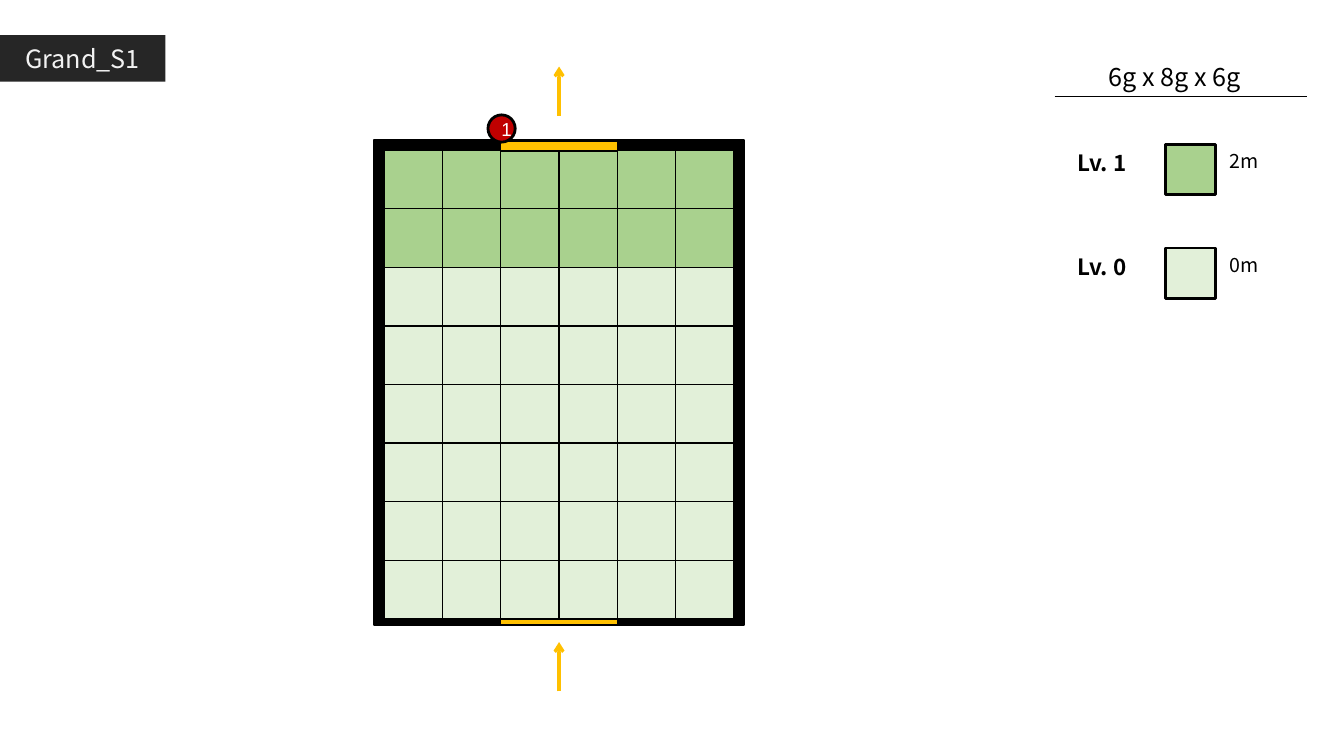
from lxml.etree import SubElement
from pptx import Presentation
from pptx.dml.color import RGBColor
from pptx.enum.shapes import MSO_CONNECTOR as Connector, MSO_SHAPE as Shape
from pptx.enum.text import MSO_ANCHOR as Anchor, PP_ALIGN as Align
from pptx.oxml.ns import qn
from pptx.util import Inches, Pt

BLACK = RGBColor(0x00, 0x00, 0x00)
WHITE = RGBColor(0xFF, 0xFF, 0xFF)
CHARCOAL = RGBColor(0x26, 0x26, 0x26)
OFF_WHITE = RGBColor(0xF2, 0xF2, 0xF2)
GREEN = RGBColor(0xA9, 0xD1, 0x8E)
PALE_GREEN = RGBColor(0xE2, 0xF0, 0xD9)
AMBER = RGBColor(0xFF, 0xC0, 0x00)
RED = RGBColor(0xC0, 0x00, 0x00)
FONT = "Noto Sans CJK KR"

TITLE = "Grand_S1"
ROOM_SIZE = "6g x 8g x 6g"
MARKER = "1"
LEVELS = [("Lv. 1", "2m", GREEN), ("Lv. 0", "0m", PALE_GREEN)]
ROW_COLOURS = [GREEN] * 2 + [PALE_GREEN] * 6

# Lengths in inches
SLIDE_WIDTH, SLIDE_HEIGHT = 13.33, 7.5
COLUMNS, ROWS = 6, len(ROW_COLOURS)
GRID_LEFT, GRID_TOP, GRID_WIDTH, GRID_HEIGHT = 3.81, 1.49, 3.47, 4.65
CELL_WIDTH, CELL_HEIGHT = GRID_WIDTH / COLUMNS, GRID_HEIGHT / ROWS
GATE_LEFT, GATE_WIDTH = GRID_LEFT + 2 * CELL_WIDTH, 2 * CELL_WIDTH
GATE_HEIGHT, TOP_GATE, BOTTOM_GATE = 0.1, 1.4, 6.1
ARROW_X, ARROW_LENGTH, ARROW_TIPS = GRID_LEFT + GRID_WIDTH / 2, 0.49, (0.66, 6.37)
MARKER_SIZE = 0.27
LEGEND_TOP, LEGEND_STEP, SWATCH_SIZE = 1.43, 1.03, 0.5


def write(shape, text, **formats):
    """Put one paragraph in a shape; formats are font attributes, plus align."""
    para = shape.text_frame.paragraphs[0]
    para.alignment = formats.pop("align", Align.LEFT)
    span = para.add_run()
    span.text = text
    span.font.color.rgb = formats.pop("colour", BLACK)
    for name, value in {"name": FONT, **formats}.items():
        setattr(span.font, name, value)


def add_block(slide, place, fill, line_width=1, kind=Shape.RECTANGLE):
    block = slide.shapes.add_shape(kind, *map(Inches, place))
    block.shadow.inherit = False
    block.fill.solid()
    block.fill.fore_color.rgb = fill
    if line_width:
        block.line.color.rgb = BLACK
        block.line.width = Pt(line_width)
    else:
        block.line.fill.background()
    block.text_frame.vertical_anchor = Anchor.MIDDLE
    return block


def add_label(slide, place, text, **formats):
    box = slide.shapes.add_textbox(*map(Inches, place))
    box.text_frame.word_wrap = True
    write(box, text, **formats)


def add_line(slide, ends, colour, width, arrow=False):
    line = slide.shapes.add_connector(Connector.STRAIGHT, *map(Inches, ends))
    line.line.color.rgb = colour
    line.line.width = Pt(width)
    if arrow:
        SubElement(line.line._get_or_add_ln(), qn("a:tailEnd"), type="arrow")
    SubElement(line._element.spPr, qn("a:effectLst"))


def add_legend(slide):
    add_line(slide, (10.46, 0.96, 12.96, 0.96), BLACK, 1)
    add_label(slide, (10.55, 0.56, 2.2, 0.4), ROOM_SIZE, size=Pt(18), align=Align.CENTER)
    for index, (level, height, colour) in enumerate(LEVELS):
        top = LEGEND_TOP + index * LEGEND_STEP
        add_block(slide, (11.56, top, SWATCH_SIZE, SWATCH_SIZE), colour, 2)
        add_label(slide, (12.1, top, 0.71, 0.33), height, size=Pt(14))
        add_label(slide, (10.59, top, 1.07, 0.36), level, size=Pt(16), bold=True)


def add_room(slide):
    add_block(slide, (3.71, 1.39, 3.67, 4.81), BLACK)
    add_block(slide, (GATE_LEFT, BOTTOM_GATE, GATE_WIDTH, GATE_HEIGHT), AMBER)
    for row, colour in enumerate(ROW_COLOURS):
        for column in range(COLUMNS):
            left = GRID_LEFT + column * CELL_WIDTH
            top = GRID_TOP + row * CELL_HEIGHT
            add_block(slide, (left, top, CELL_WIDTH, CELL_HEIGHT), colour)
    add_block(slide, (GATE_LEFT, TOP_GATE, GATE_WIDTH, GATE_HEIGHT), AMBER)
    marker = add_block(slide, (4.84, 1.14, MARKER_SIZE, MARKER_SIZE), RED, 2, Shape.OVAL)
    write(marker, MARKER, name="Arial", size=Pt(13.4), colour=WHITE, align=Align.CENTER)
    for tip in ARROW_TIPS:
        add_line(slide, (ARROW_X, tip + ARROW_LENGTH, ARROW_X, tip), AMBER, 2.25, arrow=True)


def main():
    deck = Presentation()
    deck.slide_width, deck.slide_height = Inches(SLIDE_WIDTH), Inches(SLIDE_HEIGHT)
    page = deck.slides.add_slide(deck.slide_layouts[6])
    add_legend(page)
    banner = add_block(page, (0, 0.35, 1.64, 0.46), CHARCOAL, line_width=0)
    write(banner, TITLE, size=Pt(18), colour=OFF_WHITE, align=Align.CENTER)
    add_room(page)
    deck.save("out.pptx")


if __name__ == "__main__":
    main()
